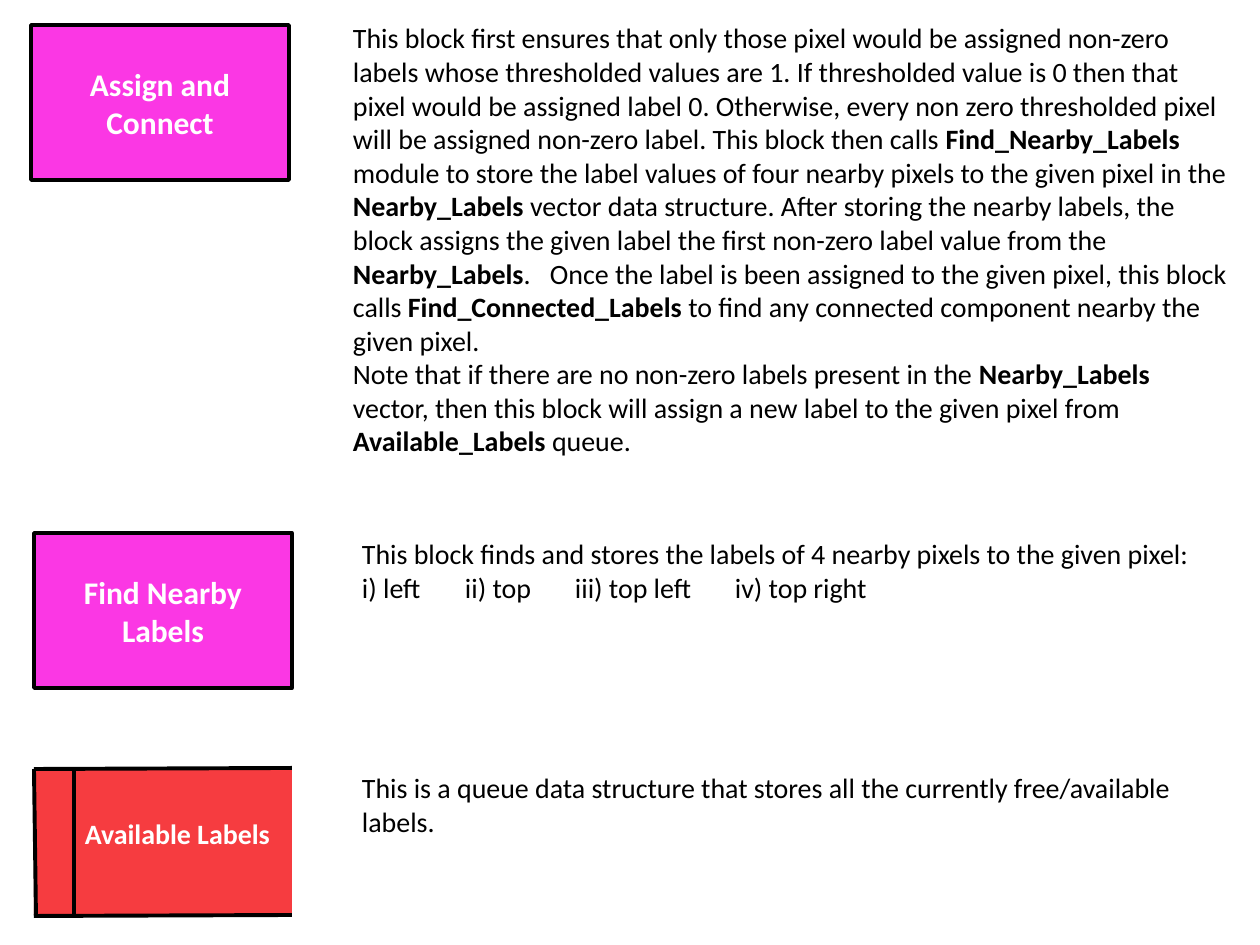
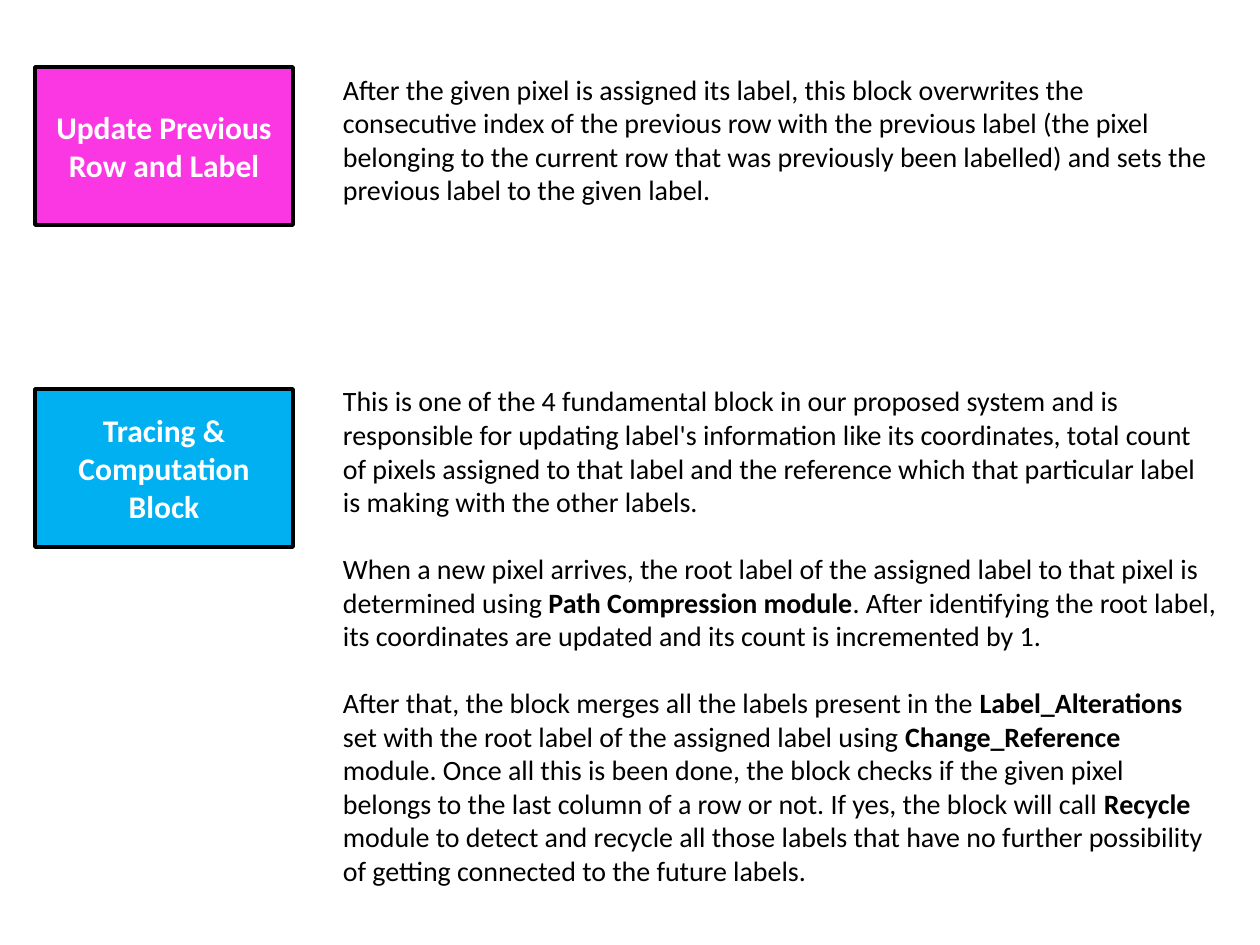
"""Builds two slides that explain the blocks of a pixel labelling system."""
from lxml import etree
from pptx import Presentation
from pptx import util as u
from pptx.dml.color import RGBColor
from pptx.enum import shapes, text
from pptx.oxml.ns import qn

PX = 914400 / 126
FONT = "Calibri"
BLACK = RGBColor(0, 0, 0)
WHITE = RGBColor(0xFF, 0xFF, 0xFF)
MAGENTA = RGBColor(0xFB, 0x37, 0xE4)
BLUE = RGBColor(0x00, 0xB0, 0xF0)
RED = RGBColor(0xF6, 0x3C, 0x40)

BLOCK_WIDTH = 258
NOTE_WIDTH = 895

ASSIGN_NOTE = [
    "This block first ensures that only those pixel would be assigned non-zero labels whose "
    "thresholded values are 1. If thresholded value is 0 then that pixel would be assigned "
    "label 0. Otherwise, every non zero thresholded pixel will be assigned non-zero label. "
    "This block then calls **Find_Nearby_Labels** module to store the label values of four "
    "nearby pixels to the given pixel in the **Nearby_Labels** vector data structure. After "
    "storing the nearby labels, the block assigns the given label the first non-zero label "
    "value from the **Nearby_Labels**.\tOnce the label is been assigned to the given pixel, "
    "this block calls **Find_Connected_Labels **to find any connected component nearby the "
    "given pixel.",
    "Note that if there are no non-zero labels present in the **Nearby_Labels **vector, then "
    "this block will assign a new label to the given pixel from **Available_Labels **queue.",
]
NEARBY_NOTE = [
    "This block finds and stores the labels of 4 nearby pixels to the given pixel:",
    "i) left\tii) top\tiii) top left\tiv) top right",
]
QUEUE_NOTE = [
    "This is a queue data structure that stores all the currently free/available labels.",
]
UPDATE_NOTE = [
    "After the given pixel is assigned its label, this block overwrites the consecutive index "
    "of the previous row with the previous label (the pixel belonging to the current row that "
    "was previously been labelled) and sets the previous label to the given label.",
]
TRACING_NOTE = [
    "This is one of the 4 fundamental block in our proposed system and is responsible for "
    "updating label's information like its coordinates, total count of pixels assigned to "
    "that label and the reference which that particular label is making with the other labels.",
    "When a new pixel arrives, the root label of the assigned label to that pixel is "
    "determined using** Path Compression module**. After identifying the root label, its "
    "coordinates are updated and its count is incremented by 1.",
    "After that, the block merges all the labels present in the **Label_Alterations **set "
    "with the root label of the assigned label using **Change_Reference** module. Once all "
    "this is been done, the block checks if the given pixel belongs to the last column of a "
    "row or not. If yes, the block will call **Recycle** module to detect and recycle all "
    "those labels that have no further possibility of getting connected to the future labels.",
]


def px(*lengths):
    return [u.Emu(round(length * PX)) for length in lengths]


def style(paragraph, size, color, bold=None):
    paragraph.font.name = FONT
    paragraph.font.size = u.Pt(size)
    paragraph.font.color.rgb = color
    paragraph.font.bold = bold


def add_caption(frame, caption, size):
    frame.word_wrap = True
    paragraph = frame.paragraphs[0]
    paragraph.text = caption
    paragraph.alignment = text.PP_ALIGN.CENTER
    style(paragraph, size, WHITE, bold=True)


def add_panel(slide, left, top, height, fill):
    panel = slide.shapes.add_shape(
        shapes.MSO_SHAPE.RECTANGLE, *px(left, top, BLOCK_WIDTH, height))
    panel.shadow.inherit = False
    panel.fill.solid()
    panel.fill.fore_color.rgb = fill
    panel.line.fill.background()
    return panel


def add_block(slide, left, top, height, caption, fill=MAGENTA):
    block = add_panel(slide, left, top, height, fill)
    block.line.color.rgb = BLACK
    block.line.width = u.Pt(2)
    block.text_frame.vertical_anchor = text.MSO_ANCHOR.MIDDLE
    add_caption(block.text_frame, caption, 18)


def add_tab_stops(paragraph, stops):
    tab_list = etree.SubElement(paragraph._p.get_or_add_pPr(), qn("a:tabLst"))
    for stop in px(*stops):
        etree.SubElement(tab_list, qn("a:tab"), pos=str(stop), algn="l")


def add_note(slide, left, top, height, passages, gap=0, stops=()):
    """Adds explanatory text in which ** switches bold on and off."""
    frame = slide.shapes.add_textbox(*px(left, top, NOTE_WIDTH, height)).text_frame
    frame.word_wrap = True
    frame.auto_size = text.MSO_AUTO_SIZE.SHAPE_TO_FIT_TEXT
    frame.margin_left, frame.margin_right, frame.margin_top, frame.margin_bottom = px(10, 10, 5, 5)
    for index, passage in enumerate(passages):
        paragraph = frame.add_paragraph() if index else frame.paragraphs[0]
        if "\t" in passage:
            add_tab_stops(paragraph, stops)
        style(paragraph, 16, BLACK)
        if index and gap:
            paragraph.space_before = u.Pt(gap)
        for part, words in enumerate(passage.split("**")):
            run = paragraph.add_run()
            run.text = words
            if part % 2:
                run.font.bold = True


def add_edge(slide, *ends):
    edge = slide.shapes.add_connector(shapes.MSO_CONNECTOR.STRAIGHT, *px(*ends))
    edge.line.color.rgb = BLACK
    edge.line.width = u.Pt(2.25)
    etree.SubElement(edge._element.spPr, qn("a:effectLst"))


def add_queue(slide, left, top, caption):
    right, bottom = left + BLOCK_WIDTH, top + 147
    add_panel(slide, left, top, 146, RED)
    add_edge(slide, left + 40, bottom, left + 40, top)
    add_edge(slide, left, top, right, top - 1)
    add_edge(slide, left, bottom, right, bottom - 1)
    add_edge(slide, left + 2, bottom, left, top)
    label = slide.shapes.add_textbox(*px(left + 29, top + 41, BLOCK_WIDTH - 29, 47))
    add_caption(label.text_frame, caption, 16)


def add_labelling_slide(slide):
    add_block(slide, 34, 533, 155, "Find Nearby Labels")
    add_block(slide, 31, 25, 155, "Assign and Connect")
    add_note(slide, 343, 16, 452, ASSIGN_NOTE, stops=[197])
    add_note(slide, 352, 532, 78, NEARBY_NOTE, stops=[103, 213, 373])
    add_queue(slide, 34, 769, "Available Labels")
    add_note(slide, 352, 766, 78, QUEUE_NOTE)


def add_tracing_slide(slide):
    add_block(slide, 35, 67, 158, "Update Previous Row and Label")
    add_note(slide, 333, 67, 146, UPDATE_NOTE)
    add_block(slide, 35, 389, 158, "Tracing & Computation Block", BLUE)
    add_note(slide, 333, 379, 519, TRACING_NOTE, gap=19)


def main():
    deck = Presentation()
    deck.slide_width, deck.slide_height = px(1260, 945)
    blank = deck.slide_layouts[6]
    for fill_slide in (add_labelling_slide, add_tracing_slide):
        fill_slide(deck.slides.add_slide(blank))
    deck.save("out.pptx")


if __name__ == "__main__":
    main()
